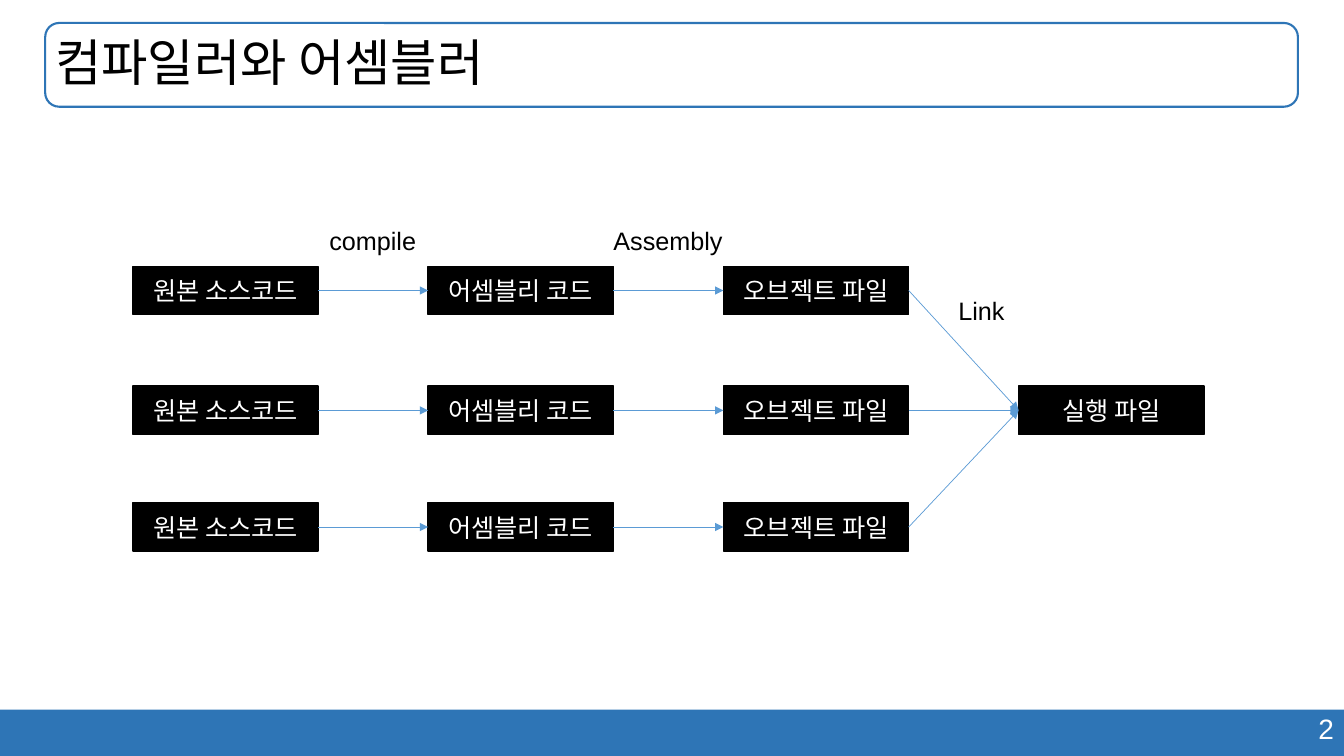
from dataclasses import dataclass

from lxml import etree
from pptx import Presentation
from pptx.dml.color import RGBColor
from pptx.enum.shapes import MSO_CONNECTOR, MSO_SHAPE
from pptx.enum.text import MSO_ANCHOR, MSO_AUTO_SIZE, PP_ALIGN
from pptx.oxml.ns import qn
from pptx.util import Cm, Pt

RECTANGLE = MSO_SHAPE.RECTANGLE
ROUNDED_RECTANGLE = MSO_SHAPE.ROUNDED_RECTANGLE
STRAIGHT = MSO_CONNECTOR.STRAIGHT
TOP, MIDDLE = MSO_ANCHOR.TOP, MSO_ANCHOR.MIDDLE
LEFT, CENTER, RIGHT = PP_ALIGN.LEFT, PP_ALIGN.CENTER, PP_ALIGN.RIGHT
LEFT_SITE, RIGHT_SITE = 1, 3


@dataclass(frozen=True)
class Theme:
    font: str = "Arial"
    black: RGBColor = RGBColor(0x00, 0x00, 0x00)
    white: RGBColor = RGBColor(0xFF, 0xFF, 0xFF)
    accent: RGBColor = RGBColor(0x2E, 0x75, 0xB6)
    arrow: RGBColor = RGBColor(0x5B, 0x9B, 0xD5)
    title_size: int = 36
    number_size: int = 20
    body_size: int = 18


THEME = Theme()
SLIDE_WIDTH, SLIDE_HEIGHT = 33.87, 19.05
TITLE_AREA = (1.14, 0.58, 31.57, 2.11)
FOOTER_TOP, FOOTER_HEIGHT = 17.88, 1.17

BOX_WIDTH, BOX_HEIGHT = 4.67, 1.22
FIRST_COLUMN, COLUMN_PITCH = 3.35, 7.44
ROW_TOPS = (6.71, 9.73, 12.67)
STAGES = ("원본 소스코드", "어셈블리 코드", "오브젝트 파일")
RESULT = "실행 파일"
STEP_LABELS = (
    ("compile", 8.05, 5.56, 2.72),
    ("Assembly", 15.21, 5.56, 3.3),
    ("Link", 23.9, 7.32, 1.68),
)
LABEL_HEIGHT = 1.02


def write_text(frame, text, size, color, alignment=LEFT, anchor=TOP):
    frame.vertical_anchor = anchor
    paragraph = frame.paragraphs[0]
    paragraph.alignment = alignment
    run = paragraph.add_run()
    run.text = text
    run.font.name = THEME.font
    run.font.size = Pt(size)
    run.font.color.rgb = color
    return paragraph


def add_panel(slide, kind, area, fill=None, line=None, line_width=1):
    """Add a preset shape; without a fill or line colour that part is left empty."""
    shape = slide.shapes.add_shape(kind, *map(Cm, area))
    shape.shadow.inherit = False
    if fill is None:
        shape.fill.background()
    else:
        shape.fill.solid()
        shape.fill.fore_color.rgb = fill
    if line is None:
        shape.line.fill.background()
    else:
        shape.line.color.rgb = line
        shape.line.width = Pt(line_width)
    return shape


def add_text_box(slide, area, text, size, color, wrap=True, **layout):
    frame = slide.shapes.add_textbox(*map(Cm, area)).text_frame
    frame.word_wrap = wrap
    if not wrap:
        frame.auto_size = MSO_AUTO_SIZE.SHAPE_TO_FIT_TEXT
    return write_text(frame, text, size, color, **layout)


def add_stage_box(slide, column, top, text):
    left = FIRST_COLUMN + column * COLUMN_PITCH
    box = add_panel(slide, RECTANGLE, (left, top, BOX_WIDTH, BOX_HEIGHT),
                    fill=THEME.black, line=THEME.black)
    write_text(box.text_frame, text, THEME.body_size, THEME.white, CENTER, MIDDLE)
    return box


def add_arrow(slide, source, target):
    """Join the right side of source to the left side of target."""
    arrow = slide.shapes.add_connector(STRAIGHT, 0, 0, 0, 0)
    arrow.begin_connect(source, RIGHT_SITE)
    arrow.end_connect(target, LEFT_SITE)
    arrow.line.color.rgb = THEME.arrow
    arrow.line.width = Pt(0.5)
    etree.SubElement(arrow.line._get_or_add_ln(), qn("a:tailEnd"), type="triangle")
    etree.SubElement(arrow._element.spPr, qn("a:effectLst"))


def add_footer(slide, number):
    add_panel(slide, RECTANGLE, (0, FOOTER_TOP, SLIDE_WIDTH, FOOTER_HEIGHT),
              fill=THEME.accent)
    add_text_box(slide, (23.96, 17.81, 9.91, 1.11), number,
                 THEME.number_size, THEME.white, alignment=RIGHT)


def add_title(slide, text):
    add_panel(slide, ROUNDED_RECTANGLE, TITLE_AREA, line=THEME.accent, line_width=1.5)
    paragraph = add_text_box(slide, TITLE_AREA, text, THEME.title_size,
                             THEME.black, anchor=MIDDLE)
    paragraph.line_spacing = 0.9


def add_build_flow(slide):
    """Draw one chain of stages per row, all linked into the result."""
    result = add_stage_box(slide, len(STAGES), ROW_TOPS[1], RESULT)
    for top in ROW_TOPS:
        chain = [add_stage_box(slide, column, top, text)
                 for column, text in enumerate(STAGES)]
        for source, target in zip(chain, chain[1:] + [result]):
            add_arrow(slide, source, target)
    for text, left, top, width in STEP_LABELS:
        add_text_box(slide, (left, top, width, LABEL_HEIGHT), text,
                     THEME.body_size, THEME.black, wrap=False)


def main():
    presentation = Presentation()
    presentation.slide_width = Cm(SLIDE_WIDTH)
    presentation.slide_height = Cm(SLIDE_HEIGHT)
    slide = presentation.slides.add_slide(presentation.slide_layouts[6])
    add_footer(slide, "2")
    add_title(slide, "컴파일러와 어셈블러")
    add_build_flow(slide)
    presentation.save("out.pptx")


if __name__ == "__main__":
    main()
